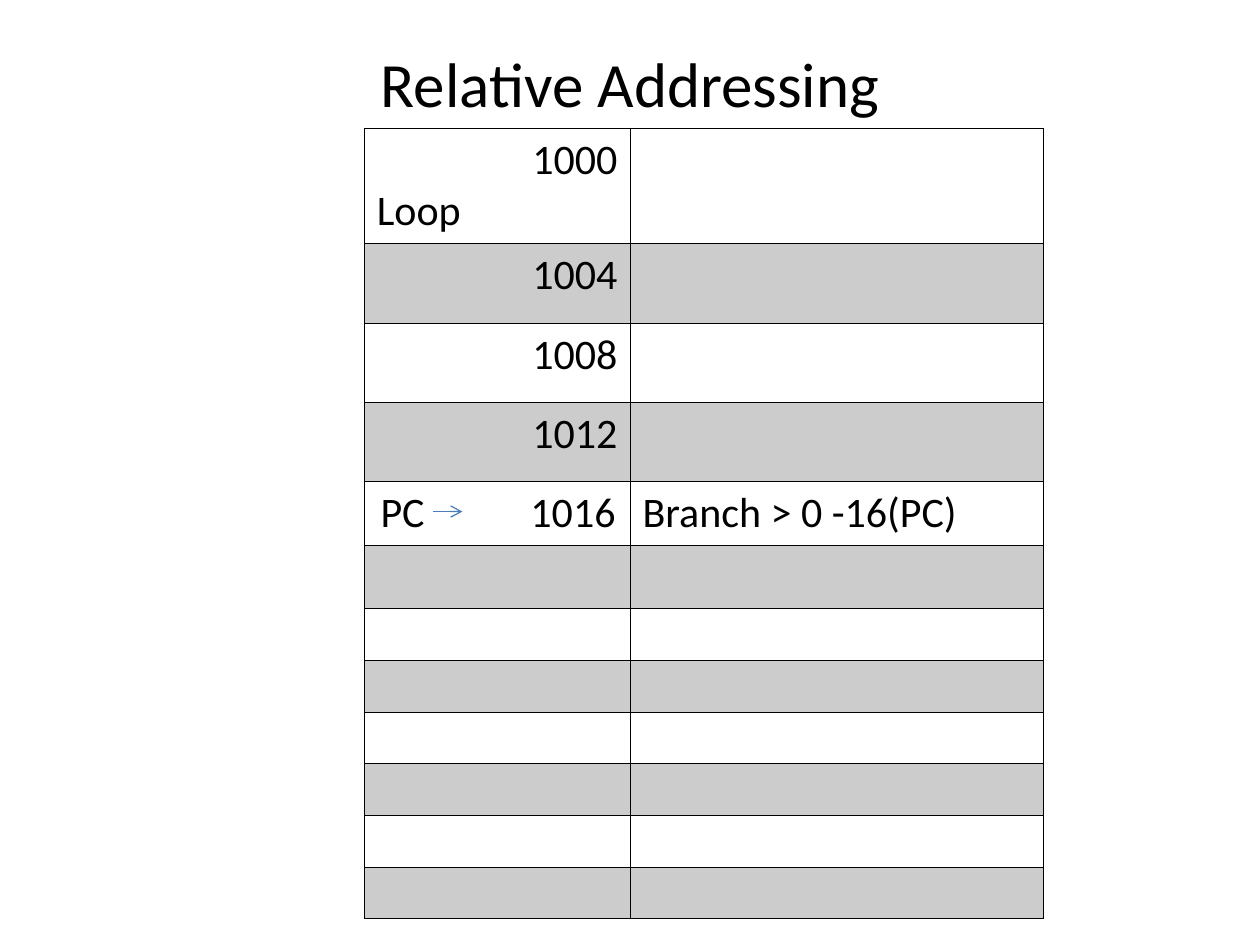
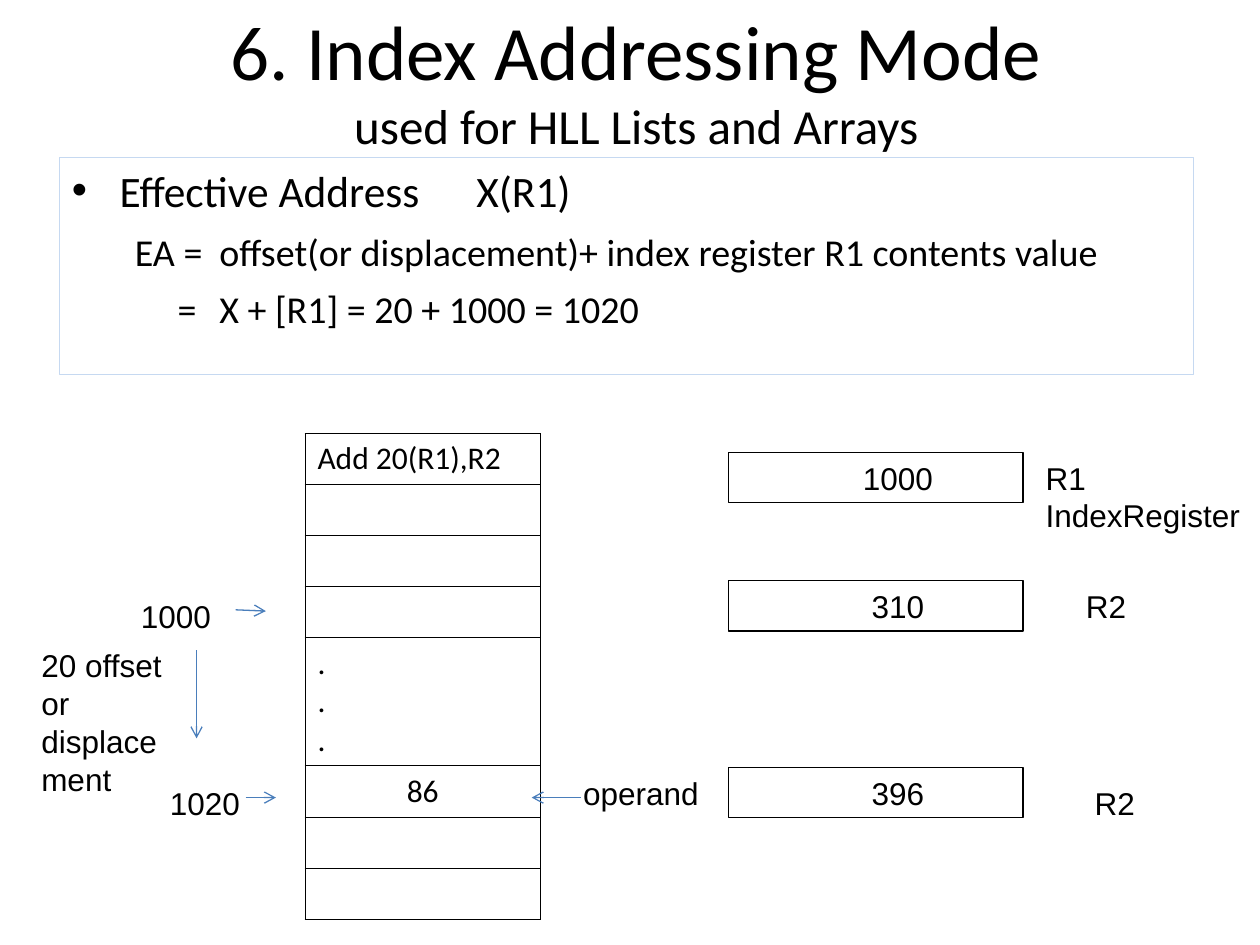
from dataclasses import dataclass
from typing import Optional

from lxml import etree
from pptx import Presentation
from pptx.dml.color import RGBColor
from pptx.enum.shapes import MSO_CONNECTOR, MSO_SHAPE
from pptx.enum.text import MSO_ANCHOR, MSO_AUTO_SIZE, PP_ALIGN
from pptx.oxml.ns import qn
from pptx.util import Inches, Pt

LEFT, CENTER, RIGHT = PP_ALIGN.LEFT, PP_ALIGN.CENTER, PP_ALIGN.RIGHT
TOP, MIDDLE = MSO_ANCHOR.TOP, MSO_ANCHOR.MIDDLE
NO_AUTOFIT = MSO_AUTO_SIZE.NONE
STRAIGHT = MSO_CONNECTOR.STRAIGHT
RECTANGLE = MSO_SHAPE.RECTANGLE

COLORS = {"ink": "000000", "paper": "FFFFFF", "stripe": "CCCCCC",
          "arrow": "4A7EBB", "frame": "C6D9F1"}
HEADING_FONT = "Calibri"
LABEL_FONT = "Arial"
LABEL_SIZE = 18
LABEL_HEIGHT = 0.4
GRID_WIDTH = 0.45
TITLE_ONLY, TITLE_AND_BODY = 5, 1


@dataclass
class Label:
    text: str
    left: float
    top: float
    width: float
    height: float = LABEL_HEIGHT


@dataclass
class Arrow:
    start: tuple[float, float]
    end: tuple[float, float]


@dataclass
class Register:
    value: str
    top: float
    label: Label


@dataclass
class CellText:
    text: str
    aligns: tuple = (LEFT,)
    hanging: Optional[tuple[float, float]] = None


@dataclass
class BodyLine:
    text: str
    size: float
    margin: float
    indent: float
    before: float = 0
    bullet: bool = False
    tab: Optional[float] = None


REGISTERS = [
    Register("1000", 3.59, Label("R1\nIndexRegister", 8.2, 3.59, 1.8, 0.7)),
    Register("310", 4.61, Label("R2", 8.52, 4.61, 0.7)),
    Register("396", 6.09, Label("R2", 8.59, 6.17, 0.7)),
]
MEMORY_LABELS = [
    Label("1000", 1.02, 4.69, 1.25),
    Label("1020", 1.25, 6.17, 1.17),
    Label("20 offset\nor displacement", 0.23, 5.08, 1.17, 1.3),
    Label("operand", 4.53, 6.09, 1.33),
]
MEMORY_ARROWS = [
    Arrow((1.87, 4.84), (2.11, 4.85)),
    Arrow((1.56, 5.16), (1.56, 5.86)),
    Arrow((1.95, 6.33), (2.19, 6.33)),
    Arrow((4.61, 6.33), (4.22, 6.33)),
]
BODY_LINES = [
    BodyLine("Effective Address\tX(R1)", 24.8, 0.38, -0.38, bullet=True, tab=3.21),
    BodyLine("EA =\toffset(or displacement)+ index register R1 contents value",
             21.7, 1.17, -0.67, before=7),
    BodyLine("=\tX + [R1] = 20 + 1000 = 1020", 21.7, 1.17, -0.33, before=7),
]


def color(name: str) -> RGBColor:
    return RGBColor.from_string(COLORS[name])


def format_span(span, font: str, size: float) -> None:
    span.font.name = font
    span.font.size = Pt(size)
    span.font.color.rgb = color("ink")


def format_frame(frame, font: str, size: float, align=LEFT) -> None:
    for para in frame.paragraphs:
        para.alignment = align
        for span in para.runs:
            format_span(span, font, size)


def set_indent(para, margin: float, indent: float) -> None:
    properties = para._p.get_or_add_pPr()
    properties.set("marL", str(Inches(margin)))
    properties.set("indent", str(Inches(indent)))


def place(shape, left: float, top: float, width: float, height: float) -> None:
    shape.left, shape.top = Inches(left), Inches(top)
    shape.width, shape.height = Inches(width), Inches(height)


def set_title(page, text: str, area: tuple, sizes: list[float], anchor) -> None:
    title = page.shapes.title
    place(title, *area)
    frame = title.text_frame
    frame.text = text
    frame.auto_size = NO_AUTOFIT
    frame.vertical_anchor = anchor
    frame.paragraphs[0].alignment = CENTER
    for span, size in zip(frame.paragraphs[0].runs, sizes):
        format_span(span, HEADING_FONT, size)


def set_body(page, lines: list[BodyLine]) -> None:
    body = page.placeholders[1]
    place(body, 0.47, 1.25, 9, 1.72)
    body.line.color.rgb = color("frame")
    body.line.width = Pt(0.75)
    frame = body.text_frame
    frame.text = "\n".join(line.text for line in lines)
    frame.auto_size = NO_AUTOFIT
    for para, line in zip(frame.paragraphs, lines):
        para.level = 0 if line.bullet else 1
        para.space_before = Pt(line.before)
        set_indent(para, line.margin, line.indent)
        properties = para._p.get_or_add_pPr()
        if line.bullet:
            etree.SubElement(properties, qn("a:buChar")).set("char", "•")
        else:
            etree.SubElement(properties, qn("a:buNone"))
        if line.tab:
            tabs = etree.SubElement(properties, qn("a:tabLst"))
            stop = etree.SubElement(tabs, qn("a:tab"))
            stop.set("pos", str(Inches(line.tab)))
            stop.set("algn", "l")
        for span in para.runs:
            format_span(span, HEADING_FONT, line.size)


def add_label(page, label: Label) -> None:
    box = page.shapes.add_textbox(Inches(label.left), Inches(label.top),
                                  Inches(label.width), Inches(label.height))
    box.text_frame.word_wrap = True
    box.text_frame.text = label.text
    format_frame(box.text_frame, LABEL_FONT, LABEL_SIZE)


def add_register(page, register: Register) -> None:
    box = page.shapes.add_shape(RECTANGLE, Inches(5.78), Inches(register.top),
                                Inches(2.34), Inches(LABEL_HEIGHT))
    box.shadow.inherit = False
    box.fill.background()
    box.line.color.rgb = color("ink")
    box.line.width = Pt(0.75)
    frame = box.text_frame
    frame.margin_left = Inches(0.45)
    frame.text = register.value
    format_frame(frame, LABEL_FONT, LABEL_SIZE, CENTER)
    add_label(page, register.label)


def add_arrow(page, arrow: Arrow) -> None:
    line = page.shapes.add_connector(STRAIGHT, *map(Inches, arrow.start + arrow.end))
    line.line.color.rgb = color("arrow")
    line.line.width = Pt(0.75)
    outline = line.line._get_or_add_ln()
    etree.SubElement(outline, qn("a:tailEnd")).set("type", "arrow")
    etree.SubElement(line._element.spPr, qn("a:effectLst"))


def add_cell_borders(cell) -> None:
    properties = cell._tc.get_or_add_tcPr()
    for side in ("lnL", "lnR", "lnT", "lnB"):
        border = etree.SubElement(properties, qn(f"a:{side}"))
        border.set("w", str(Pt(GRID_WIDTH)))
        fill = etree.SubElement(border, qn("a:solidFill"))
        etree.SubElement(fill, qn("a:srgbClr")).set("val", COLORS["ink"])


def add_grid(page, left: float, top: float, widths: list[float], heights: list[float],
             texts: dict[tuple[int, int], CellText], size: float, striped: bool) -> None:
    frame = page.shapes.add_table(len(heights), len(widths), Inches(left), Inches(top),
                                  Inches(sum(widths)), Inches(sum(heights)))
    table = frame.table
    table.first_row = table.horz_banding = False
    for column, width in zip(table.columns, widths):
        column.width = Inches(width)
    for row_index, height in enumerate(heights):
        table.rows[row_index].height = Inches(height)
        for column_index in range(len(widths)):
            cell = table.cell(row_index, column_index)
            add_cell_borders(cell)
            cell.fill.solid()
            shade = "stripe" if striped and row_index % 2 else "paper"
            cell.fill.fore_color.rgb = color(shade)
            content = texts.get((row_index, column_index))
            if content is None:
                continue
            cell.text_frame.text = content.text
            format_frame(cell.text_frame, HEADING_FONT, size)
            for para, align in zip(cell.text_frame.paragraphs, content.aligns):
                para.alignment = align
                if content.hanging:
                    set_indent(para, *content.hanging)


def build_relative_addressing(deck) -> None:
    page = deck.slides.add_slide(deck.slide_layouts[TITLE_ONLY])
    set_title(page, "Relative Addressing", (0.5, 0.3, 9, 0.79), [36], TOP)
    texts = {(row, 0): CellText(str(1000 + 4 * row), (RIGHT,)) for row in range(1, 4)}
    texts[0, 0] = CellText("1000\nLoop", (RIGHT, LEFT))
    texts[4, 0] = CellText("PC\t1016", hanging=(1.22, -1.19))
    texts[4, 1] = CellText("Branch > 0 -16(PC)")
    heights = [0.9] + [0.63] * 3 + [0.5] * 2 + [0.41] * 6
    add_grid(page, 2.89, 1.02, [2.11, 3.28], heights, texts, 24, True)
    add_arrow(page, Arrow((3.44, 4.06), (3.67, 4.06)))


def build_index_addressing(deck) -> None:
    page = deck.slides.add_slide(deck.slide_layouts[TITLE_AND_BODY])
    set_title(page, "6. Index Addressing Mode\vused for HLL Lists and Arrays",
              (0.55, 0, 9, 1.25), [44, 28], MIDDLE)
    set_body(page, BODY_LINES)
    texts = {(0, 0): CellText("Add 20(R1),R2"),
             (4, 0): CellText(".\n.\n."),
             (5, 0): CellText("86", (CENTER,))}
    heights = [0.4] * 4 + [1] + [0.4] * 3
    add_grid(page, 2.42, 3.44, [1.87], heights, texts, 18, False)
    for register in REGISTERS:
        add_register(page, register)
    for label in MEMORY_LABELS:
        add_label(page, label)
    for arrow in MEMORY_ARROWS:
        add_arrow(page, arrow)


def main() -> None:
    deck = Presentation()
    deck.slide_width, deck.slide_height = Inches(10), Inches(7.5)
    build_relative_addressing(deck)
    build_index_addressing(deck)
    deck.save("out.pptx")


if __name__ == "__main__":
    main()
